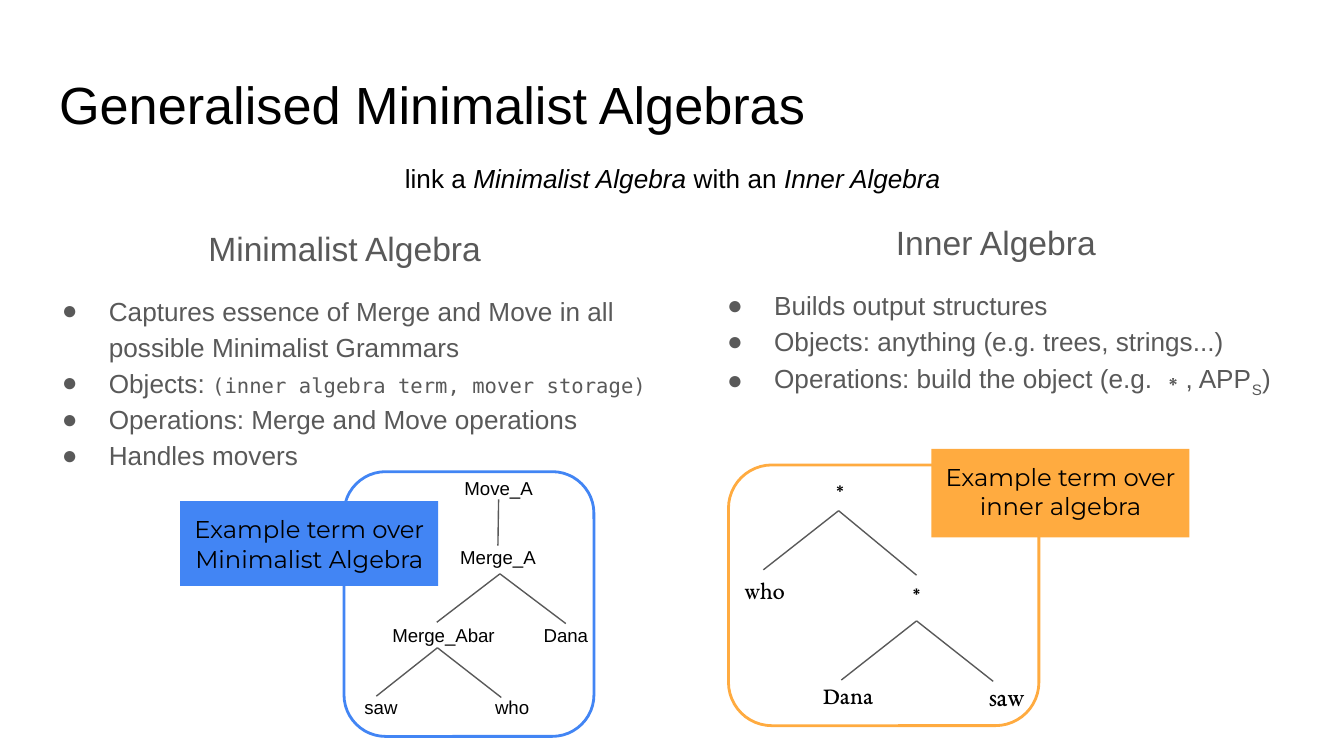
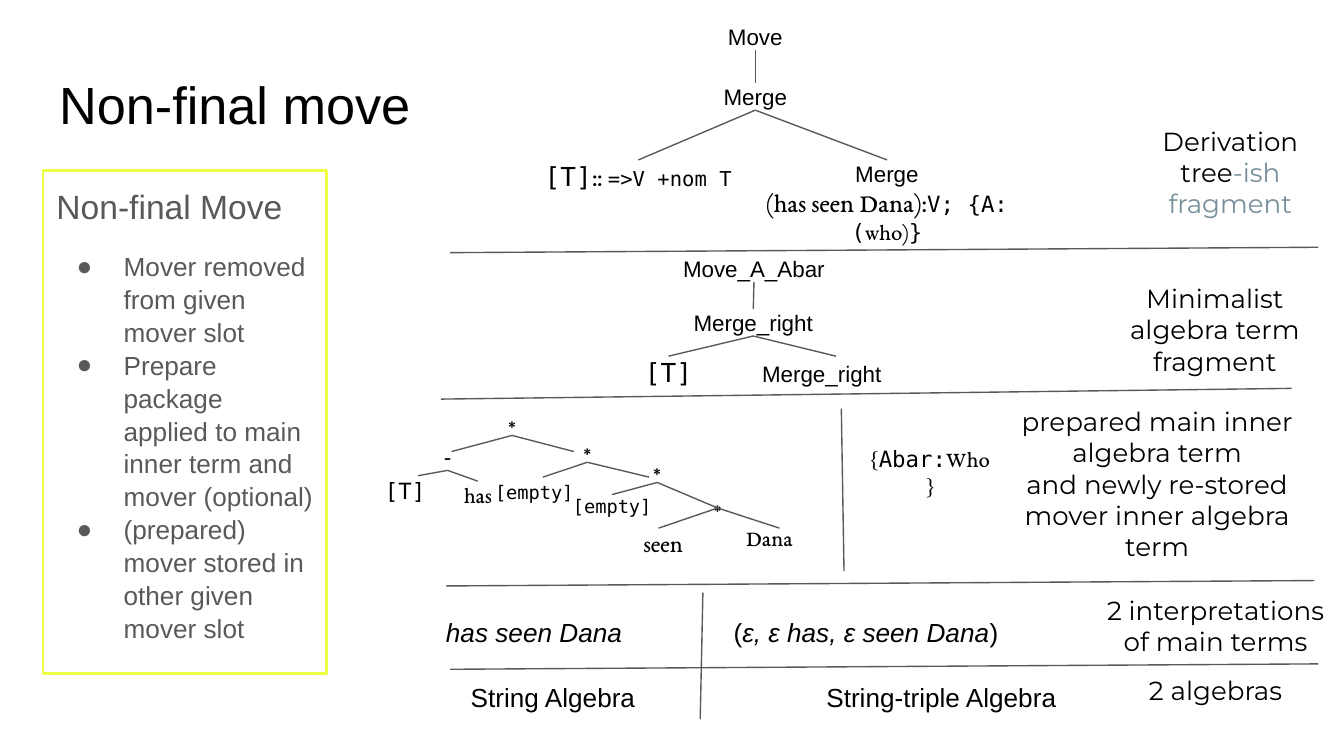
import lxml.etree
import pptx
import pptx.dml.color
import pptx.enum.shapes
import pptx.enum.text
import pptx.oxml.ns
import pptx.util

RGB = pptx.dml.color.RGBColor
BLACK = RGB(0x00, 0x00, 0x00)
GREY = RGB(0x59, 0x59, 0x59)
SLATE = RGB(0x78, 0x90, 0x9C)
BLUE = RGB(0x42, 0x85, 0xF4)
ORANGE = RGB(0xFF, 0xAB, 0x40)
LIME = RGB(0xEE, 0xFF, 0x41)

SANS, MONO, SERIF, DISPLAY = "Arial", "DejaVu Sans Mono", "EB Garamond", "Montserrat"
ALIGN = pptx.enum.text.PP_ALIGN
ANCHOR = pptx.enum.text.MSO_ANCHOR
FIT = pptx.enum.text.MSO_AUTO_SIZE
SHAPE = pptx.enum.shapes.MSO_SHAPE
CELL = pptx.util.Inches(0.1)  # grid of 100 columns by 56.2 rows
SNAP = 0.3 * CELL
STAR = "∗"


def cells(*values):
    return [round(v * CELL) for v in values]


def sub(parent, tag, **attrs):
    return lxml.etree.SubElement(parent, pptx.oxml.ns.qn(tag), **attrs)


def write(tf, content, align=ALIGN.CENTER, spacing=None, before=0, bullet=False, **fmt):
    """Add a paragraph; content is a string or a list of strings and (string, format) pairs."""
    p = tf.paragraphs[0] if not tf.text else tf.add_paragraph()
    p.alignment = align
    p.space_before = pptx.util.Pt(before)
    if spacing:
        p.line_spacing = spacing
    pPr = p._p.get_or_add_pPr()
    pPr.set("marL", str(5 * CELL if bullet else 0))
    pPr.set("indent", str(round(-3.5 * CELL) if bullet else 0))
    if bullet:
        sub(sub(pPr, "a:buClr"), "a:srgbClr", val=str(GREY))
        sub(pPr, "a:buChar", char="●")
    else:
        sub(pPr, "a:buNone")
    for part in [content] if isinstance(content, str) else content:
        text, own = (part, {}) if isinstance(part, str) else part
        look = {"size": 14, "font": SANS, "color": BLACK, **fmt, **own}
        r = p.add_run()
        r.text = text
        r.font.size = pptx.util.Pt(look["size"])
        r.font.name = look["font"]
        r.font.color.rgb = look["color"]
        if look.get("italic"):
            r.font.italic = True
        if look.get("subscript"):
            r._r.get_or_add_rPr().set("baseline", "-25000")


class Deck:
    def __init__(self):
        self.prs = pptx.Presentation()
        self.prs.slide_width, self.prs.slide_height = cells(100, 56.25)

    def slide(self, layout, title):
        self.s = self.prs.slides.add_slide(self.prs.slide_layouts[layout])
        self.labels = []
        sp = self.s.shapes.title
        self.place(sp, 3.4, 4.9, 93.2, 6.3)
        write(self.frame(sp), title, align=ALIGN.LEFT, spacing=0.9, size=28)

    def place(self, sp, *box):
        sp.left, sp.top, sp.width, sp.height = cells(*box)

    def frame(self, sp, inset=1, anchor=ANCHOR.TOP, fit=FIT.NONE):
        tf = sp.text_frame
        tf.word_wrap = True
        tf.auto_size = fit
        tf.vertical_anchor = anchor
        tf.margin_left = tf.margin_right = CELL
        tf.margin_top = tf.margin_bottom = round(inset * CELL)
        return tf

    def body(self, index, box, heading, items, spacing=1.15, align=ALIGN.CENTER):
        sp = self.s.placeholders[index]
        self.place(sp, *box)
        tf = self.frame(sp)
        write(tf, heading, align=align, spacing=spacing, size=18, color=GREY)
        for i, item in enumerate(items):
            write(tf, item, align=ALIGN.LEFT, spacing=spacing,
                  before=0 if i else 12, bullet=True, color=GREY)
        return sp

    def shape(self, kind, *box, fill=None, line=None):
        sp = self.s.shapes.add_shape(kind, *cells(*box))
        sp.shadow.inherit = False
        if fill:
            sp.fill.solid()
            sp.fill.fore_color.rgb = fill
        else:
            sp.fill.background()
        self.outline(sp, line)
        return sp

    def outline(self, sp, color):
        if color:
            sp.line.color.rgb = color
            sp.line.width = pptx.util.Pt(1.5)
        else:
            sp.line.fill.background()

    def tag(self, text, color, *box):
        sp = self.shape(SHAPE.RECTANGLE, *box, fill=color)
        write(self.frame(sp), text, size=13, font=DISPLAY)

    def text(self, paragraphs, *box, anchor=ANCHOR.TOP, fit=FIT.NONE, **fmt):
        tf = self.frame(self.s.shapes.add_textbox(*cells(*box)), anchor=anchor, fit=fit)
        for content in paragraphs:
            write(tf, content, **fmt)

    def label(self, paragraphs, x, y, w, size=12, h=None, **fmt):
        """Tree node, as high as its one line of text unless h is given."""
        sp = self.s.shapes.add_textbox(*cells(x, y, w, h or size / 6))
        tf = self.frame(sp, inset=0, fit=FIT.SHAPE_TO_FIT_TEXT)
        for content in [paragraphs] if isinstance(paragraphs, str) else paragraphs:
            write(tf, content, size=size, **fmt)
        self.labels.append(sp)

    def site(self, x, y):
        """Find the label whose side has its middle at this point."""
        for sp in self.labels:
            cx, cy = sp.left + sp.width / 2, sp.top + sp.height / 2
            sides = [(cx, sp.top), (sp.left, cy),
                     (cx, sp.top + sp.height), (sp.left + sp.width, cy)]
            for i, (sx, sy) in enumerate(sides):
                if max(abs(sx - x), abs(sy - y)) <= SNAP:
                    return sp, i
        return None

    def line(self, start, end):
        a, b = cells(*start), cells(*end)
        c = self.s.shapes.add_connector(pptx.enum.shapes.MSO_CONNECTOR.STRAIGHT, *a, *b)
        c.line.color.rgb = GREY
        c.line.width = pptx.util.Pt(0.75)
        sub(c._element.spPr, "a:effectLst")
        for point, connect in ((a, c.begin_connect), (b, c.end_connect)):
            found = self.site(*point)
            if found:
                connect(*found)

    def branch(self, apex, *ends):
        for end in ends:
            self.line(apex, end)


def algebras(d):
    d.slide(3, "Generalised Minimalist Algebras")
    d.shape(SHAPE.ROUNDED_RECTANGLE, 54.2, 34.6, 23.1, 19.4, line=ORANGE)
    d.shape(SHAPE.ROUNDED_RECTANGLE, 25.6, 35.1, 18.6, 19.7, line=BLUE)
    d.body(1, (2.1, 15.5, 47.1, 39), "Minimalist Algebra", [
        "Captures essence of Merge and Move in all possible Minimalist Grammars",
        ["Objects: ", ("(inner algebra term, mover storage)", dict(size=11, font=MONO))],
        "Operations: Merge and Move operations",
        "Handles movers"])
    d.body(2, (51.6, 15.1, 45, 34.9), "Inner Algebra", [
        "Builds output structures",
        "Objects: anything (e.g. trees, strings...)",
        ["Operations: build the object (e.g. ∗, APP", ("S", dict(subscript=True)), ")"]])
    italic = dict(italic=True)
    d.text([["link a ", ("Minimalist Algebra", italic), " with an ", ("Inner Algebra", italic)]],
           27, 11.1, 46.1, 4.3, fit=FIT.SHAPE_TO_FIT_TEXT)

    for text, x, y, w in [("Move_A", 33.1, 35.5, 8), ("Merge_A", 32.7, 40.6, 8.7),
                          ("Merge_Abar", 28, 46.4, 10), ("Dana", 39, 46.4, 6.2),
                          ("saw", 24.5, 51.8, 7.7), ("who", 35, 51.8, 6.2)]:
        d.label(text, x, y, w, size=10)
    d.branch((37.1, 37.2), (37.1, 40.6))
    d.branch((37.2, 42.7), (32.5, 46.3), (41.9, 46.4))
    d.branch((32.55, 48.2), (28, 51.8), (37.3, 51.9))

    for x, y in [(57.1, 35.1), (62.8, 42.8)]:
        d.label(STAR, x, y, 10.8)
    for text, x, y, w, size in [("who", 52.2, 42.8, 9.4, 13), ("Dana", 58.4, 50.6, 9.4, 13),
                                ("saw", 71.1, 50.6, 7.6, 14)]:
        d.label(text, x, y, w, size=size, font=SERIF)
    d.branch((62.4, 38), (56.8, 42.4), (68.2, 42.5))
    d.branch((68.2, 46.2), (62.6, 50.6), (73.9, 50.7))

    d.tag("Example term over inner algebra", ORANGE, 69.3, 33.4, 19.2, 6.6)
    d.tag("Example term over Minimalist Algebra", BLUE, 13.4, 37.3, 19.2, 6.3)


def non_final_move(d):
    d.slide(1, "Non-final move")
    sp = d.body(1, (3.2, 12.7, 21.1, 37.4), "Non-final Move", [
        "Mover removed from given mover slot",
        "Prepare package applied to main inner term and mover (optional)",
        "(prepared) mover stored in other given mover slot"],
        spacing=1.05, align=ALIGN.LEFT)
    d.outline(sp, LIME)
    mono, serif = dict(font=MONO), dict(font=SERIF)

    # Derivation tree and minimalist algebra term
    for text, x, y, w in [("Move", 50.8, 1.7, 10.8), ("Merge", 50.8, 6.2, 10.8),
                          ("Move_A_Abar", 48.9, 19, 14.4), ("Merge_right", 50, 23, 12.1),
                          ("Merge_right", 55.1, 26.8, 12.1)]:
        d.label(text, x, y, w)
    d.label(["Merge", [("(has seen Dana):", dict(font=SERIF, size=14)), ("V; {A:(", mono),
                       ("who)", serif), ("}", mono)]], 56, 11.9, 20, h=6.3)
    d.label([["[T]", (":: ", serif), ("=>V +nom T", dict(size=11))]],
            39.3, 11.9, 16.4, size=14, font=MONO)
    d.label("[T]", 43.7, 26.5, 12.1, size=14, font=MONO)
    d.branch((56.2, 3.8), (56.2, 6.2))
    d.branch((56.2, 8.3), (47.5, 11.9), (66, 11.9))
    d.branch((56.1, 21), (56, 23))
    d.branch((56, 25), (49.7, 26.5), (62.2, 26.5))

    # Inner algebra term
    for text, x, y, w in [(STAR, 35.6, 30.4, 5), ("-", 29, 33, 8.6), (STAR, 39.4, 32.4, 8.6),
                          (STAR, 44.6, 33.9, 8.6), (STAR, 49.1, 36.6, 8.6)]:
        d.label(text, x, y, w)
    for text, x, y, w, size, font in [
            ("[T]", 27.6, 35.5, 5.1, 12, MONO), ("has", 31.8, 35.8, 7.5, 12, SERIF),
            ("[empty]", 35.8, 35.8, 7.9, 10, MONO), ("[empty]", 41.6, 36.8, 7.9, 10, MONO),
            ("seen", 45.6, 39.3, 7.5, 13, SERIF), ("Dana", 54.2, 39, 6.1, 12, SERIF)]:
        d.label(text, x, y, w, size=size, font=font)
    d.label([["{", ("Abar:", mono), "Who}"]], 63.6, 33.1, 11.2, h=4, font=SERIF)
    d.branch((38.05, 32.1), (33.6, 33.6), (42.7, 33.6))
    d.branch((33, 34.7), (31.1, 35.4), (35.6, 35.5))
    d.branch((43.7, 34.4), (40.4, 35.5), (48.3, 35.5))
    d.branch((48.9, 35.9), (45.5, 36.8), (53.4, 37.8))
    d.branch((53.4, 37.8), (49, 39.3), (58, 39.3))

    # Interpretations and algebras
    d.text([[("has seen Dana", dict(italic=True))]], 32.2, 44.9, 20, 3.3, align=ALIGN.LEFT)
    d.text([["(", ("ε, ε has, ε seen Dana", dict(italic=True)), ")"]],
           53.6, 44.9, 28.8, 3.3, align=ALIGN.LEFT)
    for text, x in [("String Algebra", 29.5), ("String-triple Algebra", 58.4)]:
        d.text([text], x, 49.7, 23.3, 4.2)

    row_notes = [
        ([["Derivation tree", ("-ish fragment", dict(color=SLATE))]], 84.5, 9.2, 14.1, 7.2),
        (["Minimalist algebra term fragment"], 82.2, 20.9, 16.4, 7.2),
        (["prepared main inner algebra term", "and newly re-stored",
          "mover inner algebra term"], 73.5, 30.3, 25.2, 11.4),
        (["2 interpretations of main terms"], 80.9, 43.9, 19.1, 5.3),
        (["2 algebras"], 80.9, 48.7, 19.1, 5.3)]
    for paragraphs, *box in row_notes:
        d.text(paragraphs, *box, anchor=ANCHOR.MIDDLE, font=DISPLAY)

    for start, end in [((33.5, 18.8), (98.1, 18.4)), ((32.8, 29.7), (96.1, 28.9)),
                       ((33.2, 43.6), (97.8, 43.2)), ((33.5, 49.8), (98.1, 49.4)),
                       ((62.8, 42.5), (62.6, 30.4)), ((52.1, 53.5), (52.3, 44.1))]:
        d.line(start, end)


def main():
    d = Deck()
    algebras(d)
    non_final_move(d)
    d.prs.save("out.pptx")


if __name__ == "__main__":
    main()
